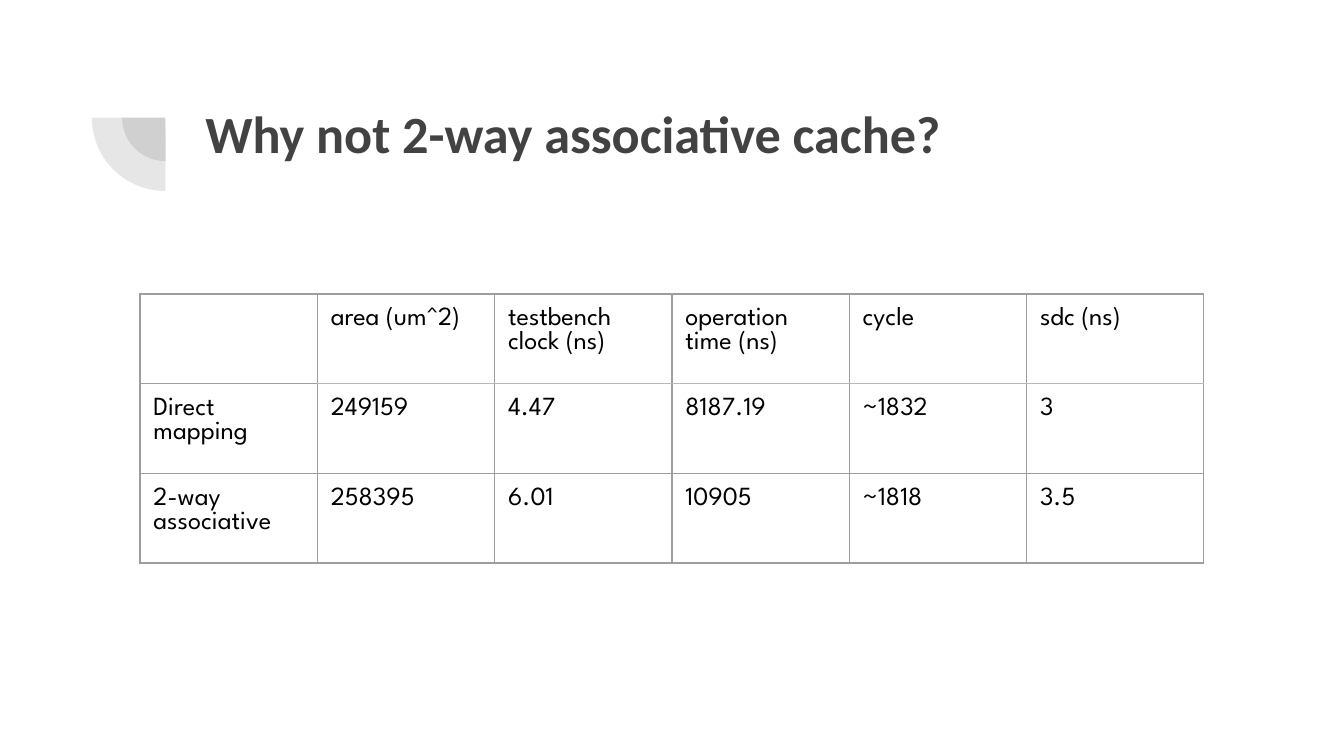
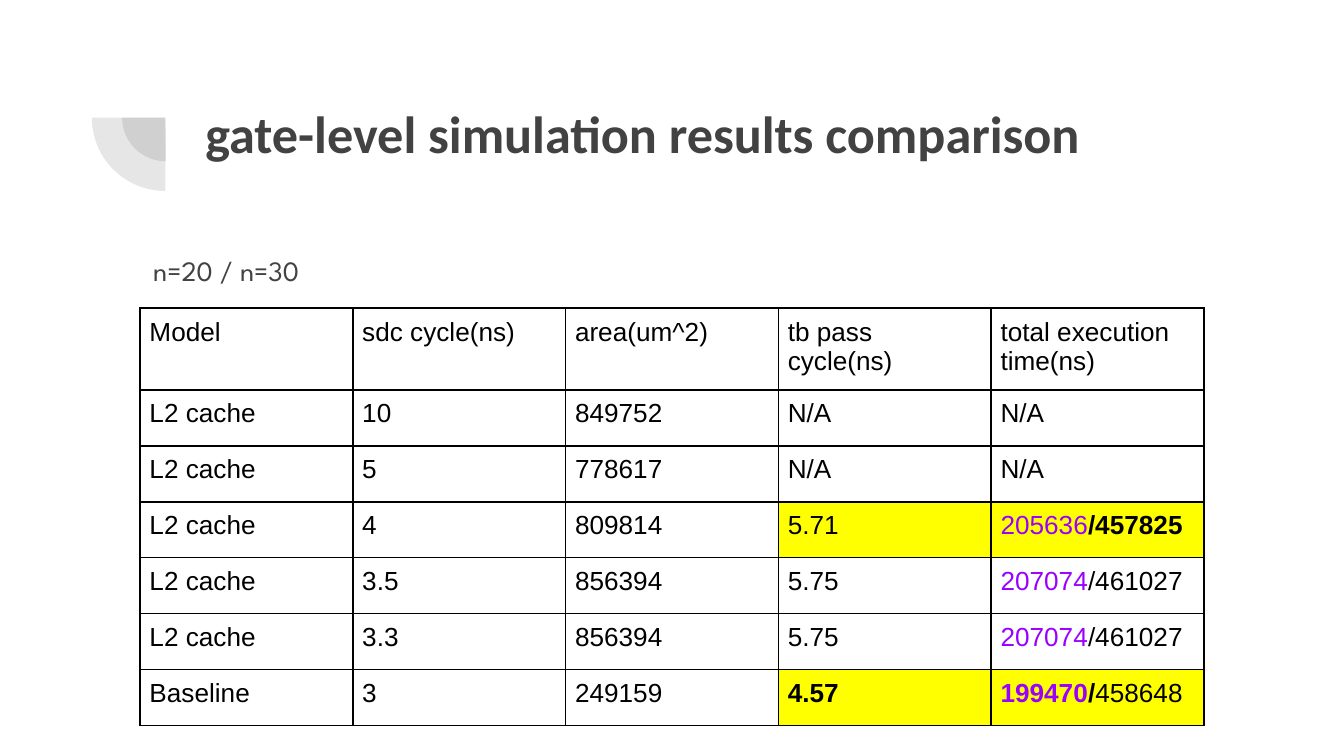
from lxml.etree import SubElement
from pptx import Presentation
from pptx.dml.color import RGBColor
from pptx.enum.shapes import MSO_SHAPE
from pptx.enum.text import MSO_ANCHOR
from pptx.oxml.ns import qn
from pptx.util import Emu, Pt

# Shared scale, colours and fonts
EMU_PER_PX = 3810  # 240 px to the inch
CHARCOAL = "424242"
BLACK = "000000"
GREY = "9E9E9E"
LIGHT_GREY = "B7B7B7"
YELLOW = "FFFF00"
PURPLE = "9900FF"
TITLE_FONT = "Calibri"
BODY_FONT = "League Spartan"
PLAIN_FONT = "Arial"

TABLE_LEFT, TABLE_WIDTH, ROW_HEIGHT = 250, 1900, 100
TABLE_TEXT_SIZE = 14

# Table contents; a cell with mixed formatting is a list of (text, colour, bold)
CACHE_ROWS = [
    ["", "area (um^2)", "testbench clock (ns)", "operation time (ns)", "cycle", "sdc (ns)"],
    ["Direct mapping", "249159", "4.47", "8187.19", "~1832", "3"],
    ["2-way associative", "258395", "6.01", "10905", "~1818", "3.5"],
]
SIMULATION_ROWS = [
    ["Model", "sdc cycle(ns)", "area(um^2)", "tb pass cycle(ns)", "total execution time(ns)"],
    ["L2 cache", "10", "849752", "N/A", "N/A"],
    ["L2 cache", "5", "778617", "N/A", "N/A"],
    ["L2 cache", "4", "809814", "5.71",
     [("205636", PURPLE, False), ("/457825", BLACK, True)]],
    ["L2 cache", "3.5", "856394", "5.75",
     [("207074", PURPLE, False), ("/461027", BLACK, False)]],
    ["L2 cache", "3.3", "856394", "5.75",
     [("207074", PURPLE, False), ("/461027", BLACK, False)]],
    ["Baseline", "3", "249159", [("4.57", BLACK, True)],
     [("199470", PURPLE, True), ("/", BLACK, True), ("458648", BLACK, False)]],
]
BEST_RESULTS = {(row, column) for row in (3, 6) for column in (3, 4)}


def px(length):
    return Emu(length * EMU_PER_PX)


def rgb(value):
    return RGBColor.from_string(value)


def format_run(run, font, size, color, bold=False):
    run.font.name = font
    run.font.size = Pt(size)
    run.font.bold = bold
    run.font.color.rgb = rgb(color)


def set_margins(target, margin):
    target.margin_left = target.margin_right = px(margin)
    target.margin_top = target.margin_bottom = px(margin)


def add_text(slide, text, left, top, width, height, font, size, bold=False):
    text_frame = slide.shapes.add_textbox(px(left), px(top), px(width), px(height)).text_frame
    text_frame.word_wrap = True
    text_frame.vertical_anchor = MSO_ANCHOR.TOP
    set_margins(text_frame, 24)
    text_frame.text = text
    paragraph = text_frame.paragraphs[0]
    format_run(paragraph.runs[0], font, size, CHARCOAL, bold)
    return paragraph


def add_quarter_circles(slide):
    group = slide.shapes.add_group_shape()
    for left, top, size in ((218, 132, 156), (164, 79, 262)):
        shape = group.shapes.add_shape(MSO_SHAPE.PIE, px(left), px(top), px(size), px(size))
        shape.adjustments[0] = 107.928
        shape.adjustments[1] = 162
        shape.rotation = 270
        shape.shadow.inherit = False
        shape.line.fill.background()
        shape.fill.solid()
        shape.fill.fore_color.rgb = rgb(CHARCOAL)
        color = shape.fill._xPr.find(".//" + qn("a:srgbClr"))
        SubElement(color, qn("a:alpha"), val="13000")


def add_titled_slide(presentation, title):
    slide = presentation.slides.add_slide(presentation.slide_layouts[6])
    add_quarter_circles(slide)
    add_text(slide, title, 343, 156, 1846, 262, TITLE_FONT, 28, bold=True)
    return slide


def set_borders(cell, width, colors):
    properties = cell._tc.get_or_add_tcPr()
    for side, color in zip("LRTB", colors):
        line = SubElement(properties, qn(f"a:ln{side}"), w=str(Pt(width)))
        fill = SubElement(line, qn("a:solidFill"))
        SubElement(fill, qn("a:srgbClr"), val=color)


def fill_cell(cell, content, font):
    runs = [(content, BLACK, False)] if isinstance(content, str) else content
    paragraph = cell.text_frame.paragraphs[0]
    paragraph.line_spacing = 1.0
    for text, color, bold in runs:
        if text:
            run = paragraph.add_run()
            run.text = text
            format_run(run, font, TABLE_TEXT_SIZE, color, bold)
    # The paragraph end keeps the text size, so rows do not grow
    ending = SubElement(paragraph._p, qn("a:endParaRPr"), sz=str(TABLE_TEXT_SIZE * 100))
    SubElement(ending, qn("a:latin"), typeface=font)


def add_grid(slide, rows, top, font, margin, border, border_width,
             header_rule=None, highlights=()):
    column_count = len(rows[0])
    table = slide.shapes.add_table(
        len(rows), column_count, px(TABLE_LEFT), px(top),
        px(TABLE_WIDTH), px(ROW_HEIGHT * len(rows))).table
    table.first_row = table.horz_banding = False
    for column in table.columns:
        column.width = px(TABLE_WIDTH) // column_count
    for row_index, row in enumerate(rows):
        table.rows[row_index].height = px(ROW_HEIGHT)
        for column_index, content in enumerate(row):
            cell = table.cell(row_index, column_index)
            set_margins(cell, margin)
            fill_cell(cell, content, font)
            # The rule under the header skips the row-label column
            rule = header_rule if header_rule and column_index else border
            above = rule if row_index == 1 else border
            below = rule if row_index == 0 else border
            set_borders(cell, border_width, (border, border, above, below))
            if (row_index, column_index) in highlights:
                cell.fill.solid()
                cell.fill.fore_color.rgb = rgb(YELLOW)
            else:
                cell.fill.background()


def main():
    presentation = Presentation()
    presentation.slide_width = px(2400)
    presentation.slide_height = px(1350)

    # Cache mapping comparison
    slide = add_titled_slide(presentation, "Why not 2-way associative cache?")
    add_grid(slide, CACHE_ROWS, 525, BODY_FONT, 24, GREY, 0.75, header_rule=LIGHT_GREY)

    # Gate-level simulation results
    slide = add_titled_slide(presentation, "gate-level simulation results comparison")
    paragraph = add_text(slide, "n=20 / n=30", 250, 420, 1846, 113, BODY_FONT, 15)
    paragraph.line_spacing = 1.15
    paragraph.space_after = Pt(16)
    add_grid(slide, SIMULATION_ROWS, 550, PLAIN_FONT, 17, BLACK, 1, highlights=BEST_RESULTS)

    presentation.save("out.pptx")


if __name__ == "__main__":
    main()
